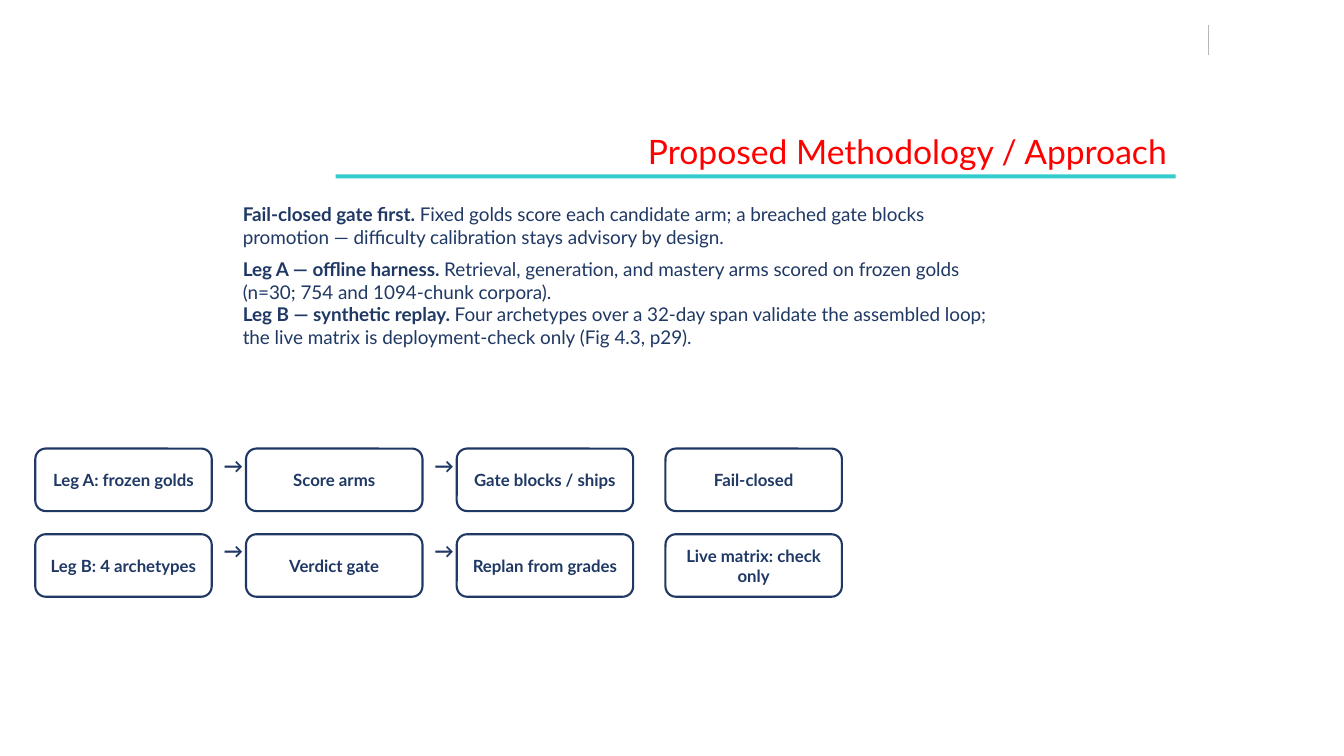
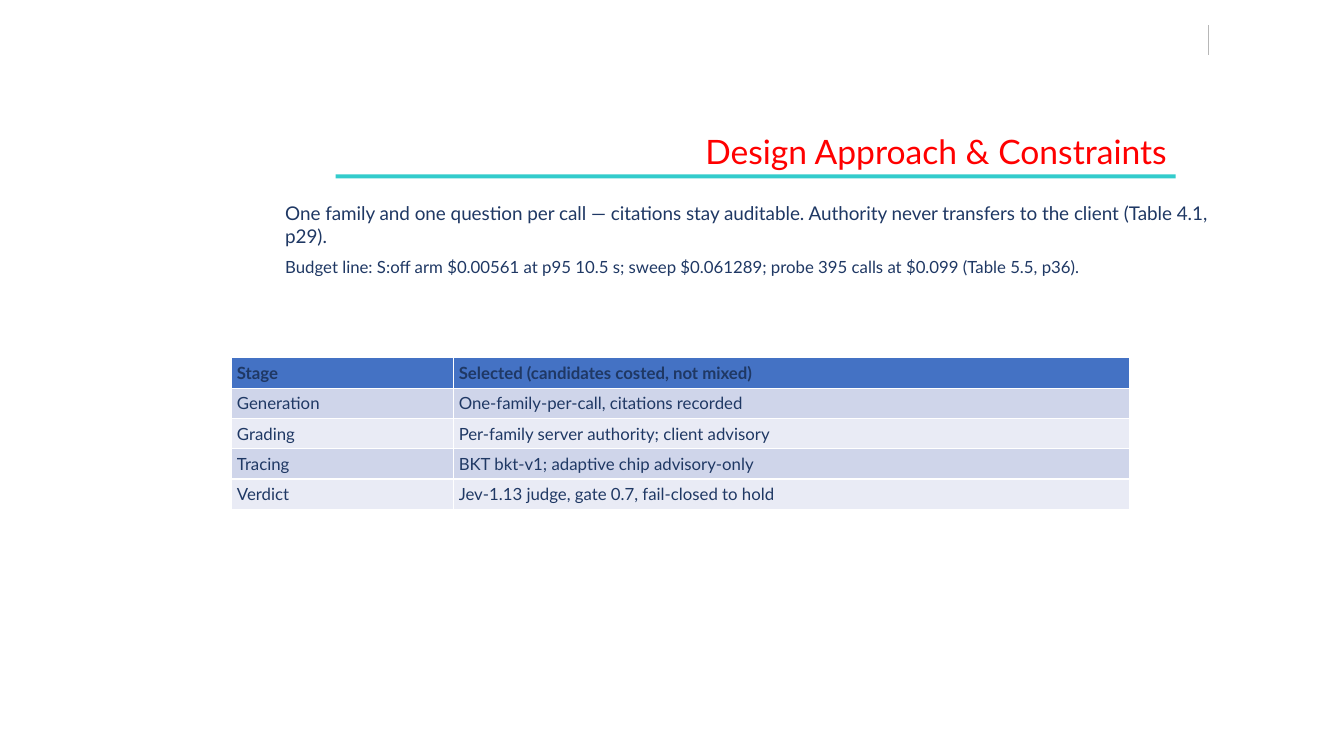
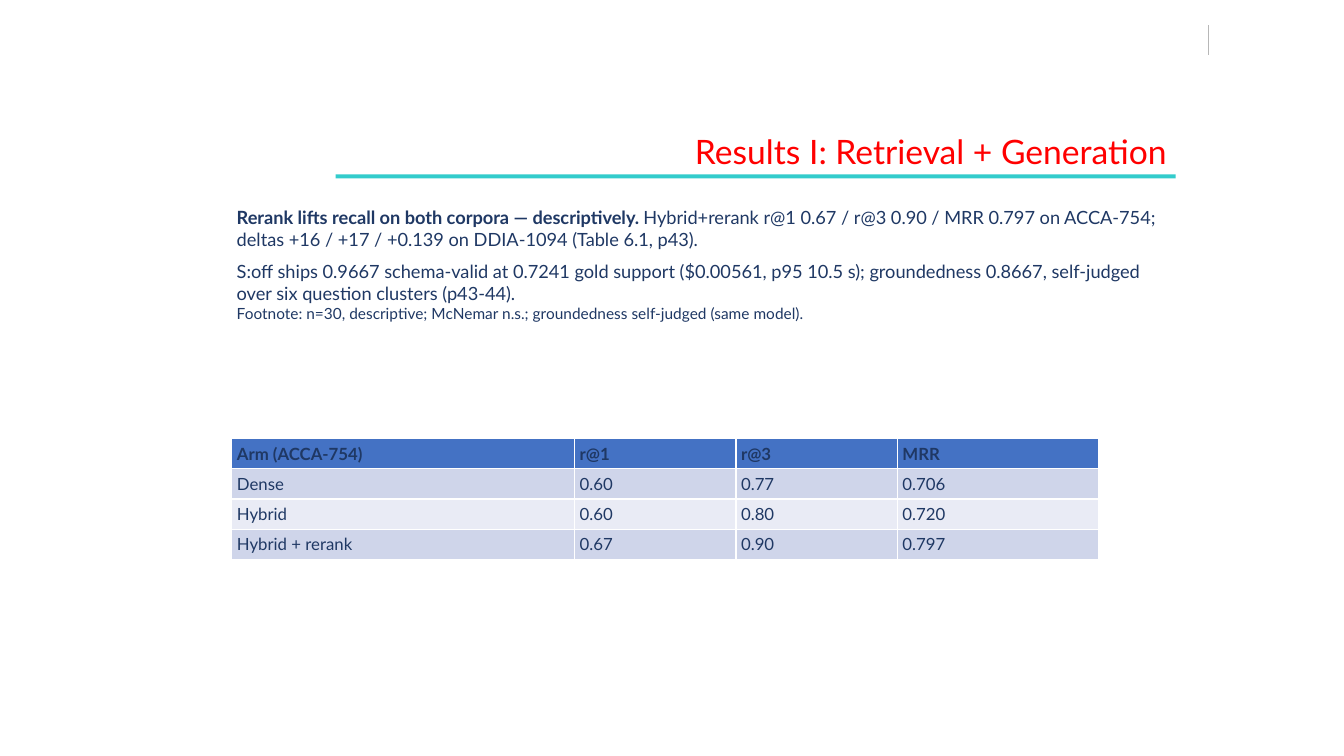
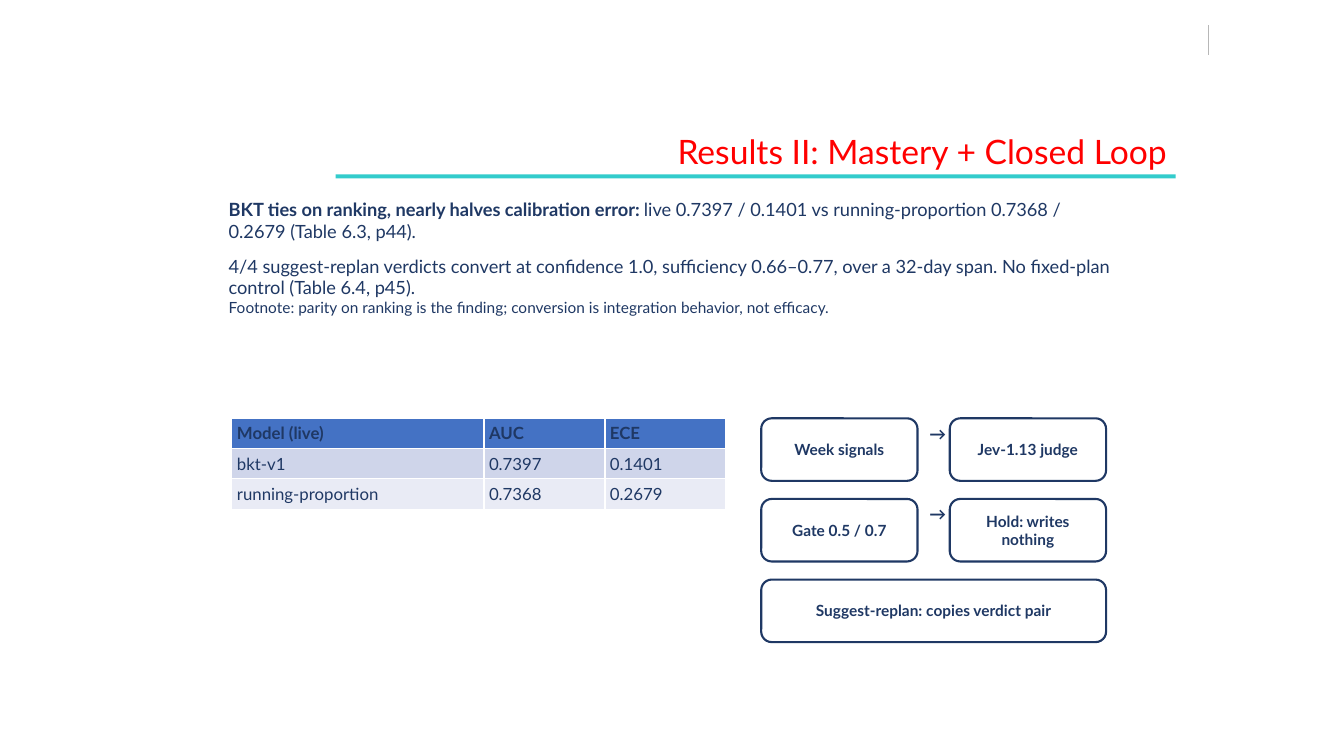
from dataclasses import dataclass

from lxml import etree
from pptx import Presentation
from pptx.dml.color import RGBColor
from pptx.enum.shapes import MSO_CONNECTOR, MSO_SHAPE
from pptx.enum.text import MSO_ANCHOR, PP_ALIGN
from pptx.oxml.ns import qn
from pptx.util import Pt

EMU_PER_PX = 9144
STRAIGHT = MSO_CONNECTOR.STRAIGHT
RECTANGLE = MSO_SHAPE.RECTANGLE
ROUNDED = MSO_SHAPE.ROUNDED_RECTANGLE
TOP, MIDDLE = MSO_ANCHOR.TOP, MSO_ANCHOR.MIDDLE
LEFT, CENTER, RIGHT = PP_ALIGN.LEFT, PP_ALIGN.CENTER, PP_ALIGN.RIGHT


def px(length):
    """Turn whole pixels into EMU."""
    return length * EMU_PER_PX


def rgb(code):
    """Turn a hex code into a colour."""
    return RGBColor.from_string(code)


@dataclass(frozen=True)
class Theme:
    """Colours and type sizes of the deck."""
    font: str = "Lato"
    paper: str = "FFFFFF"
    ink: str = "1F3864"
    title: str = "FF0000"
    rule: str = "33CCCC"
    tick: str = "B7B7B7"
    header: str = "4472C4"
    bands: tuple = ("CFD5EA", "E9EBF5")
    title_size: float = 24
    lead_size: float = 13.5
    body_size: float = 13
    small_size: float = 12
    note_size: float = 11
    arrow_size: float = 14


class Deck:
    """Holds the style and the current slide."""

    def __init__(self, theme):
        """Start an empty widescreen deck."""
        self.theme = theme
        self.presentation = Presentation()
        self.presentation.slide_width = px(1333)
        self.presentation.slide_height = px(750)

    def style(self, run, size, bold=False, color=None):
        """Format one run."""
        run.font.name = self.theme.font
        run.font.size = Pt(size)
        run.font.bold = bold
        run.font.color.rgb = rgb(color or self.theme.ink)

    def label(self, frame, text, size, bold=False, color=None, align=LEFT, anchor=TOP):
        """Fill a frame with one formatted paragraph."""
        frame.word_wrap = True
        frame.vertical_anchor = anchor
        frame.text = text
        paragraph = frame.paragraphs[0]
        paragraph.alignment = align
        self.style(paragraph.runs[0], size, bold, color)

    def text_box(self, left, top, width, height):
        """Add an empty text box and return its frame."""
        box = self.slide.shapes.add_textbox(px(left), px(top), px(width), px(height))
        return box.text_frame

    def shape(self, kind, left, top, width, height, fill):
        """Add a flat filled shape without outline."""
        shape = self.slide.shapes.add_shape(kind, px(left), px(top), px(width), px(height))
        shape.shadow.inherit = False
        shape.fill.solid()
        shape.fill.fore_color.rgb = rgb(fill)
        shape.line.fill.background()
        return shape

    def start_slide(self, title, title_left=317):
        """Add a slide with corner tick, rule and title."""
        theme = self.theme
        self.slide = self.presentation.slides.add_slide(self.presentation.slide_layouts[6])
        tick = self.slide.shapes.add_connector(STRAIGHT, px(1199), px(25), px(1199), px(55))
        tick.line.color.rgb = rgb(theme.tick)
        tick.line.width = Pt(0.75)
        etree.SubElement(tick.element.spPr, qn("a:effectLst"))
        self.shape(RECTANGLE, 333, 173, 833, 4, theme.rule)
        frame = self.text_box(title_left, 125, 1167 - title_left, 50)
        self.label(frame, title, theme.title_size, color=theme.title, align=RIGHT)

    def body(self, left, top, width, height, paragraphs, gap=7, indent=0):
        """Add paragraphs of (bold lead, text, size), with a gap after the first."""
        frame = self.text_box(left, top, width, height)
        frame.word_wrap = True
        for index, (lead, text, size) in enumerate(paragraphs):
            paragraph = frame.add_paragraph() if index else frame.paragraphs[0]
            paragraph.space_after = Pt(0 if index else gap)
            if indent:
                paragraph._p.get_or_add_pPr().set("marL", str(px(indent)))
            for part, bold in ((lead, True), (text, False)):
                if part:
                    run = paragraph.add_run()
                    run.text = part
                    self.style(run, size, bold)

    def step(self, left, top, width, text, size):
        """Add one outlined step of a flow."""
        box = self.shape(ROUNDED, left, top, width, 62, self.theme.paper)
        box.line.color.rgb = rgb(self.theme.ink)
        box.line.width = Pt(1.5)
        self.label(box.text_frame, text, size, True, align=CENTER, anchor=MIDDLE)

    def flow(self, left, top, width, gap, steps, size, arrow_size):
        """Add a row of steps with an arrow in each gap."""
        for index, text in enumerate(steps):
            step_left = left + index * (width + gap)
            if index:
                frame = self.text_box(step_left - gap + 2, top, gap - 4, 62)
                self.label(frame, "→", arrow_size, True, align=CENTER)
            self.step(step_left, top, width, text, size)

    def table(self, top, widths, rows):
        """Add a table with a header row and banded body rows."""
        theme = self.theme
        table = self.slide.shapes.add_table(
            len(rows), len(widths), px(230), px(top), px(sum(widths)), px(30 * len(rows))).table
        for column, width in zip(table.columns, widths):
            column.width = px(width)
        for row_index, values in enumerate(rows):
            fill = theme.bands[(row_index - 1) % 2] if row_index else theme.header
            for column_index, value in enumerate(values):
                cell = table.cell(row_index, column_index)
                cell.margin_left = cell.margin_right = px(5)
                cell.margin_top = cell.margin_bottom = px(5)
                cell.fill.solid()
                cell.fill.fore_color.rgb = rgb(fill)
                self.label(cell.text_frame, value, theme.small_size, row_index == 0)


def methodology(deck):
    """Build the methodology slide."""
    theme = deck.theme
    deck.start_slide("Proposed Methodology / Approach")
    deck.body(231, 196, 766, 517, [
        ("Fail-closed gate first. ",
         "Fixed golds score each candidate arm; a breached gate blocks promotion — "
         "difficulty calibration stays advisory by design.", theme.lead_size),
        ("Leg A — offline harness. ",
         "Retrieval, generation, and mastery arms scored on frozen golds "
         "(n=30; 754 and 1094-chunk corpora).", theme.lead_size),
        ("Leg B — synthetic replay. ",
         "Four archetypes over a 32-day span validate the assembled loop; "
         "the live matrix is deployment-check only (Fig 4.3, p29).", theme.lead_size),
    ])
    legs = [
        (445, ["Leg A: frozen golds", "Score arms", "Gate blocks / ships"], "Fail-closed"),
        (530, ["Leg B: 4 archetypes", "Verdict gate", "Replan from grades"],
         "Live matrix: check only"),
    ]
    for top, steps, outcome in legs:
        deck.flow(35, top, 175, 34, steps, theme.small_size, theme.arrow_size)
        deck.step(660, top, 175, outcome, theme.small_size)


def design(deck):
    """Build the design slide."""
    theme = deck.theme
    deck.start_slide("Design Approach & Constraints")
    deck.body(223, 195, 1002, 520, [
        ("", "One family and one question per call — citations stay auditable. "
         "Authority never transfers to the client (Table 4.1, p29).", theme.lead_size),
        ("", "Budget line: S:off arm $0.00561 at p95 10.5 s; sweep $0.061289; "
         "probe 395 calls at $0.099 (Table 5.5, p36).", theme.small_size),
    ], indent=50)
    deck.table(355, [220, 670], [
        ("Stage", "Selected (candidates costed, not mixed)"),
        ("Generation", "One-family-per-call, citations recorded"),
        ("Grading", "Per-family server authority; client advisory"),
        ("Tracing", "BKT bkt-v1; adaptive chip advisory-only"),
        ("Verdict", "Jev-1.13 judge, gate 0.7, fail-closed to hold"),
    ])


def retrieval_results(deck):
    """Build the first results slide."""
    theme = deck.theme
    deck.start_slide("Results I: Retrieval + Generation")
    deck.body(225, 200, 940, 271, [
        ("Rerank lifts recall on both corpora — descriptively. ",
         "Hybrid+rerank r@1 0.67 / r@3 0.90 / MRR 0.797 on ACCA-754; "
         "deltas +16 / +17 / +0.139 on DDIA-1094 (Table 6.1, p43).", theme.body_size),
        ("", "S:off ships 0.9667 schema-valid at 0.7241 gold support ($0.00561, p95 10.5 s); "
         "groundedness 0.8667, self-judged over six question clusters (p43-44).",
         theme.body_size),
        ("", "Footnote: n=30, descriptive; McNemar n.s.; "
         "groundedness self-judged (same model).", theme.note_size),
    ])
    deck.table(435, [340, 160, 160, 200], [
        ("Arm (ACCA-754)", "r@1", "r@3", "MRR"),
        ("Dense", "0.60", "0.77", "0.706"),
        ("Hybrid", "0.60", "0.80", "0.720"),
        ("Hybrid + rerank", "0.67", "0.90", "0.797"),
    ])


def mastery_results(deck):
    """Build the second results slide."""
    theme = deck.theme
    deck.start_slide("Results II: Mastery + Closed Loop", title_left=208)
    deck.body(217, 192, 900, 517, [
        ("BKT ties on ranking, nearly halves calibration error: ",
         "live 0.7397 / 0.1401 vs running-proportion 0.7368 / 0.2679 (Table 6.3, p44).",
         theme.body_size),
        ("", "4/4 suggest-replan verdicts convert at confidence 1.0, sufficiency 0.66–0.77, "
         "over a 32-day span. No fixed-plan control (Table 6.4, p45).", theme.body_size),
        ("", "Footnote: parity on ranking is the finding; "
         "conversion is integration behavior, not efficacy.", theme.note_size),
    ], gap=9)
    deck.table(415, [250, 120, 120], [
        ("Model (live)", "AUC", "ECE"),
        ("bkt-v1", "0.7397", "0.1401"),
        ("running-proportion", "0.7368", "0.2679"),
    ])
    loop = [
        (415, ["Week signals", "Jev-1.13 judge"]),
        (495, ["Gate 0.5 / 0.7", "Hold: writes nothing"]),
    ]
    for top, steps in loop:
        deck.flow(755, top, 155, 32, steps, theme.note_size, theme.small_size)
    deck.step(755, 575, 342, "Suggest-replan: copies verdict pair", theme.note_size)


def main():
    """Build and save the deck."""
    deck = Deck(Theme())
    for build in (methodology, design, retrieval_results, mastery_results):
        build(deck)
    deck.presentation.save("out.pptx")


if __name__ == "__main__":
    main()
